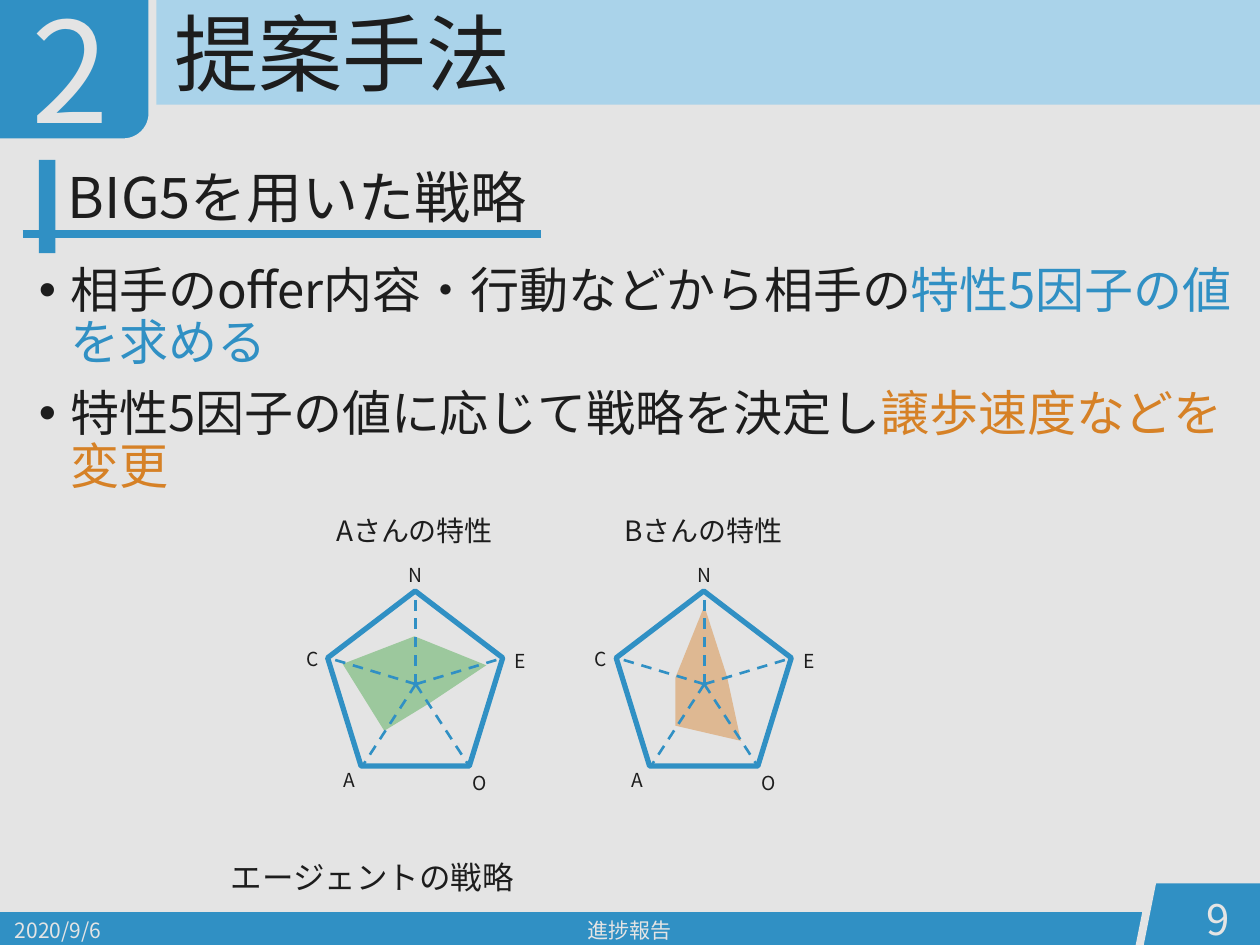
from dataclasses import dataclass
from math import cos, pi, sin

from lxml.etree import SubElement
from pptx import Presentation
from pptx.dml.color import RGBColor
from pptx.enum.dml import MSO_LINE
from pptx.enum.shapes import MSO_CONNECTOR, MSO_SHAPE
from pptx.enum.text import MSO_ANCHOR, PP_ALIGN
from pptx.oxml.ns import qn
from pptx.util import Inches, Pt

FONT = "Noto Sans CJK JP"
COLORS = {
    "background": "E4E4E4", "text": "1D1D1D", "blue": "3090C4", "band": "AAD3EA",
    "orange": "D68126", "green_area": "9CC89D", "orange_area": "DEB892",
}
Point = tuple[float, float]


@dataclass
class Label:
    text: str
    left: float
    top: float
    width: float
    height: float
    size: float
    color: str = "text"
    align: PP_ALIGN = PP_ALIGN.LEFT
    anchor: MSO_ANCHOR = MSO_ANCHOR.TOP
    line_spacing: float | None = None
    wrap: bool = True


@dataclass
class Axis:
    """One factor: its pentagon corner and label box, measured from the centre."""
    name: str
    corner: Point
    label_middle: float
    label_top: float


@dataclass
class Profile:
    title: str
    center_x: float
    area_color: str
    area: list[Point]


AXES = [
    Axis("N", (0, -0.74), 0, -1.01),
    Axis("E", (0.7, -0.21), 0.83, -0.33),
    Axis("O", (0.43, 0.66), 0.51, 0.64),
    Axis("A", (-0.43, 0.66), -0.53, 0.62),
    Axis("C", (-0.7, -0.21), -0.82, -0.34),
]
PROFILES = [
    Profile("Aさんの特性", 3.3, "green_area",
            [(-0.58, -0.16), (-0.01, -0.38), (0.56, -0.15), (0.11, 0.15), (-0.25, 0.37)]),
    Profile("Bさんの特性", 5.59, "orange_area",
            [(-0.23, -0.05), (0, -0.62), (0.18, -0.06), (0.29, 0.45), (-0.23, 0.33)]),
]
CENTER_Y = 5.43
LABELS = [
    Label("提案手法", 1.29, -0.14, 8.97, 1.2, 48, anchor=MSO_ANCHOR.MIDDLE, line_spacing=0.9),
    Label("2020/9/6", 0.02, 7.18, 2.25, 0.4, 12, "background", anchor=MSO_ANCHOR.MIDDLE),
    Label("進捗報告", 3.31, 7.18, 3.38, 0.4, 12, "background", PP_ALIGN.CENTER, MSO_ANCHOR.MIDDLE),
    Label("9", 9.21, 7.09, 0.65, 0.4, 24, "background", PP_ALIGN.RIGHT, MSO_ANCHOR.MIDDLE),
    Label("2", -0.47, -0.03, 2.06, 1.06, 80, "background", PP_ALIGN.CENTER, line_spacing=0.9),
    Label("BIG5を用いた戦略", 0.44, 1.3, 8.91, 0.74, 32, line_spacing=0.9),
    Label("エージェントの戦略", 1.6, 6.76, 2.71, 0.4, 18, align=PP_ALIGN.CENTER),
]
BULLETS = [
    [("相手のoffer内容・行動などから相手の", "text"), ("特性5因子の値を求める", "blue")],
    [("特性5因子の値に応じて戦略を決定し", "text"), ("譲歩速度などを変更", "orange")],
]


def rgb(name: str) -> RGBColor:
    return RGBColor.from_string(COLORS[name])


def style(shape, fill: str | None, line: str | None = None, width: float = 0) -> None:
    shape.shadow.inherit = False
    if fill:
        shape.fill.solid()
        shape.fill.fore_color.rgb = rgb(fill)
    else:
        shape.fill.background()
    if line:
        shape.line.color.rgb = rgb(line)
        shape.line.width = Pt(width)
    else:
        shape.line.fill.background()


def add_preset(slide, kind: MSO_SHAPE, left: float, top: float, width: float, height: float,
               fill: str | None, line: str | None = None, line_width: float = 0) -> None:
    shape = slide.shapes.add_shape(kind, Inches(left), Inches(top), Inches(width), Inches(height))
    style(shape, fill, line, line_width)


def add_polygon(slide, points: list[Point], fill: str,
                line: str | None = None, line_width: float = 0) -> None:
    start, *others = [(Inches(x), Inches(y)) for x, y in points]
    builder = slide.shapes.build_freeform(*start)
    builder.add_line_segments(others, close=True)
    style(builder.convert_to_shape(), fill, line, line_width)


def add_line(slide, start: Point, end: Point, width: float, dashed: bool = False) -> None:
    line = slide.shapes.add_connector(
        MSO_CONNECTOR.STRAIGHT, *(Inches(value) for value in (*start, *end)))
    line.line.color.rgb = rgb("blue")
    line.line.width = Pt(width)
    if dashed:
        line.line.dash_style = MSO_LINE.DASH
    SubElement(line._element.spPr, qn("a:effectLst"))


def set_font(font, size: float) -> None:
    """Set size and face, the face for East Asian text too."""
    font.size = Pt(size)
    font.name = FONT
    latin = font._rPr.find(qn("a:latin"))
    latin.addnext(latin.makeelement(qn("a:ea"), {"typeface": FONT}))


def add_label(slide, label: Label) -> None:
    box = slide.shapes.add_textbox(Inches(label.left), Inches(label.top),
                                   Inches(label.width), Inches(label.height))
    frame = box.text_frame
    frame.word_wrap = label.wrap
    frame.vertical_anchor = label.anchor
    paragraph = frame.paragraphs[0]
    paragraph.text = label.text
    paragraph.alignment = label.align
    if label.line_spacing:
        paragraph.line_spacing = label.line_spacing
    set_font(paragraph.font, label.size)
    paragraph.font.color.rgb = rgb(label.color)


def add_bullets(slide) -> None:
    box = slide.shapes.add_textbox(Inches(0.21), Inches(2.06), Inches(9.69), Inches(5.13))
    frame = box.text_frame
    frame.word_wrap = True
    for index, parts in enumerate(BULLETS):
        paragraph = frame.add_paragraph() if index else frame.paragraphs[0]
        paragraph.line_spacing = 0.9
        paragraph.space_before = Pt(10)
        properties = paragraph._p.get_or_add_pPr()
        properties.set("marL", str(Inches(0.25)))
        properties.set("indent", str(-Inches(0.25)))
        SubElement(properties, qn("a:buFont"), typeface="Arial")
        SubElement(properties, qn("a:buChar"), char="•")
        for text, color in parts:
            run = paragraph.add_run()
            run.text = text
            set_font(run.font, 28)
            run.font.color.rgb = rgb(color)


def add_frame(slide) -> None:
    """Draw the title band, the footer and the two numbered tabs."""
    add_preset(slide, MSO_SHAPE.RECTANGLE, -0.01, -0.01, 10.04, 0.84, "band")
    add_preset(slide, MSO_SHAPE.RECTANGLE, -0.01, 7.24, 10.04, 0.27, "blue")
    add_polygon(slide, [(10.1, 6.98), (9.15, 6.98), (9.03, 7.58), (10.1, 7.58)],
                "blue", "background", 4.5)
    radius, steps = 0.23, 12
    angles = [pi / 2 * step / steps for step in range(steps + 1)]
    corner = [(1.21 - radius + radius * cos(angle), 1.13 - radius + radius * sin(angle))
              for angle in angles]
    add_polygon(slide, [(-0.07, -0.14), (1.21, -0.14), *corner, (-0.07, 1.13)],
                "blue", "background", 4.5)


def add_profile(slide, profile: Profile) -> None:
    x, y = profile.center_x, CENTER_Y
    add_label(slide, Label(profile.title, x - 1.12, 4.03, 2.22, 0.37, 16, align=PP_ALIGN.CENTER))
    for axis in AXES:
        add_label(slide, Label(axis.name, x + axis.label_middle - 0.16, y + axis.label_top,
                               0.32, 0.29, 11, align=PP_ALIGN.CENTER, wrap=False))
    add_polygon(slide, [(x + dx, y + dy) for dx, dy in profile.area], profile.area_color)
    add_preset(slide, MSO_SHAPE.REGULAR_PENTAGON, x - 0.7, y - 0.74, 1.39, 1.39, None, "blue", 3)
    for axis in AXES:
        dx, dy = axis.corner
        add_line(slide, (x, y), (x + dx, y + dy), 1.5, dashed=True)
    add_preset(slide, MSO_SHAPE.OVAL, x - 0.01, y - 0.02, 0.03, 0.03, "blue")


def main() -> None:
    presentation = Presentation()
    presentation.slide_width, presentation.slide_height = Inches(10), Inches(7.5)
    slide = presentation.slides.add_slide(presentation.slide_layouts[6])
    slide.background.fill.solid()
    slide.background.fill.fore_color.rgb = rgb("background")
    add_frame(slide)
    add_line(slide, (0.18, 1.86), (4.29, 1.86), 4.5)
    add_preset(slide, MSO_SHAPE.RECTANGLE, 0.31, 1.27, 0.13, 0.74, "blue")
    for label in LABELS:
        add_label(slide, label)
    add_bullets(slide)
    for profile in PROFILES:
        add_profile(slide, profile)
    presentation.save("out.pptx")


if __name__ == "__main__":
    main()
